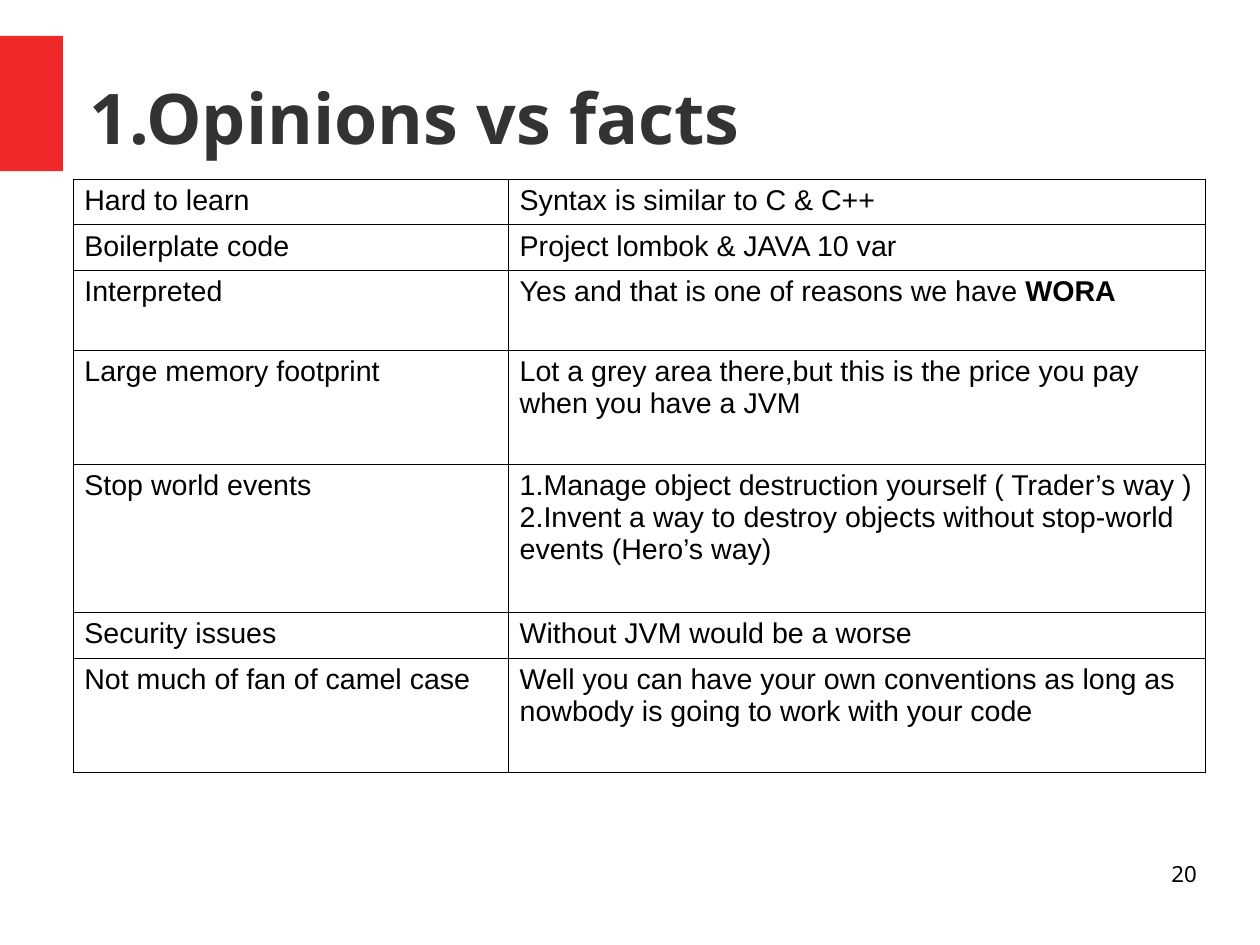
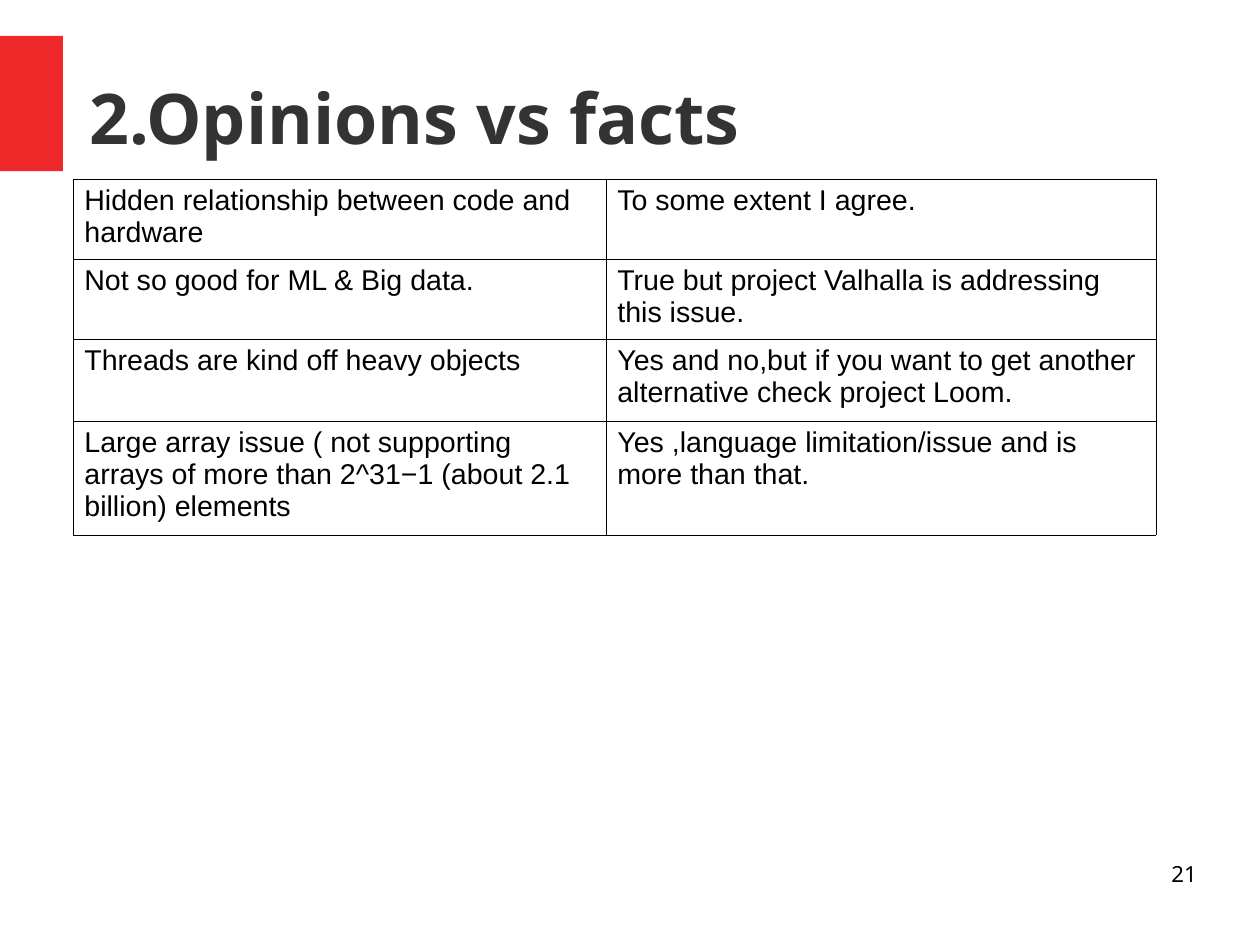
from lxml import etree
from pptx import Presentation
from pptx import util as u
from pptx.dml.color import RGBColor
from pptx.enum import shapes, text
from pptx.oxml.ns import qn

WIDTH, HEIGHT = u.Cm(28), u.Cm(21)
RED, DARK, BLACK = "EF2929", "333333", "000000"
HEADING_FONT, TABLE_FONT = "Noto Sans", "Arial"
BAND = (0, 3.8, 5, 14.3)
TITLE = (7.14, 4, 87.8, 16.7)
NUMBER = (71.7, 91, 23.3, 6.9)
TABLE_LEFT, TABLE_TOP = 5.79, 18.9
LINE_HEIGHT, ROW_PADDING = 3.62, 1.21
BORDER = u.Pt(0.06)


def color(value):
    return RGBColor.from_string(value)


def across(percent):
    return round(WIDTH * percent / 100)


def down(percent):
    return round(HEIGHT * percent / 100)


class Deck:
    """Holds the shared style and the current slide; lengths are percentages of the slide."""

    def __init__(self):
        self.presentation = Presentation()
        self.presentation.slide_width = WIDTH
        self.presentation.slide_height = HEIGHT
        self.slide = None

    def place(self, area):
        left, top, width, height = area
        return across(left), down(top), across(width), down(height)

    def add_slide(self, title, number):
        layout = self.presentation.slide_layouts[6]
        self.slide = self.presentation.slides.add_slide(layout)
        self.band()
        self.label(title, TITLE, 44, DARK, bold=True, anchor=text.MSO_ANCHOR.MIDDLE)
        self.label(str(number), NUMBER, 14, BLACK, align=text.PP_ALIGN.RIGHT)

    def band(self):
        shape = self.slide.shapes.add_shape(shapes.MSO_SHAPE.RECTANGLE, *self.place(BAND))
        shape.shadow.inherit = False
        shape.fill.solid()
        shape.fill.fore_color.rgb = color(RED)
        shape.line.fill.background()

    def style(self, run, font, size, ink, bold=False):
        run.font.name = font
        run.font.size = u.Pt(size)
        run.font.color.rgb = color(ink)
        run.font.bold = bold

    def label(self, words, area, size, ink, bold=False,
              anchor=text.MSO_ANCHOR.TOP, align=text.PP_ALIGN.LEFT):
        frame = self.slide.shapes.add_textbox(*self.place(area)).text_frame
        frame.word_wrap = True
        frame.margin_left = frame.margin_right = 0
        frame.margin_top = frame.margin_bottom = 0
        frame.vertical_anchor = anchor
        frame.text = words
        paragraph = frame.paragraphs[0]
        paragraph.alignment = align
        self.style(paragraph.runs[0], HEADING_FONT, size, ink, bold)

    def table(self, widths, rows):
        heights = [ROW_PADDING + LINE_HEIGHT * lines for lines, *_ in rows]
        area = (TABLE_LEFT, TABLE_TOP, sum(widths), sum(heights))
        table = self.slide.shapes.add_table(len(rows), len(widths), *self.place(area)).table
        table.first_row = table.horz_banding = False
        for column, width in zip(table.columns, widths):
            column.width = across(width)
        for row, height, (_, *entries) in zip(table.rows, heights, rows):
            row.height = down(height)
            for cell, entry in zip(row.cells, entries):
                self.cell(cell, entry)
        return table

    def cell(self, cell, entry):
        paragraphs = [entry] if isinstance(entry, str) else entry
        cell.text_frame.text = "\n".join(paragraphs)
        for paragraph in cell.text_frame.paragraphs:
            for run in paragraph.runs:
                self.style(run, TABLE_FONT, 18, BLACK)
        self.borders(cell)
        cell.fill.background()

    def borders(self, cell):
        properties = cell._tc.get_or_add_tcPr()
        for side in ("a:lnL", "a:lnR", "a:lnT", "a:lnB"):
            line = etree.SubElement(properties, qn(side), w=str(BORDER))
            fill = etree.SubElement(line, qn("a:solidFill"))
            etree.SubElement(fill, qn("a:srgbClr"), val=BLACK)

    def append_bold(self, cell, words):
        run = cell.text_frame.paragraphs[0].add_run()
        run.text = words
        self.style(run, TABLE_FONT, 18, BLACK, bold=True)


FIRST_ROWS = [
    (1, "Hard to learn", "Syntax is similar to C & C++"),
    (1, "Boilerplate code", "Project lombok & JAVA 10 var"),
    (2, "Interpreted", "Yes and that is one of reasons we have "),
    (3, "Large memory footprint",
     "Lot a grey area there,but this is the price you pay when you have a JVM"),
    (4, "Stop world events",
     ["1.Manage object destruction yourself ( Trader’s way )",
      "2.Invent a way to destroy objects without stop-world events (Hero’s way)"]),
    (1, "Security issues", "Without JVM would be a worse"),
    (3, "Not much of fan of camel case",
     "Well you can have your own conventions as long as nowbody is going to work with your code"),
]
SECOND_ROWS = [
    (2, "Hidden relationship between code and hardware", "To some extent I agree."),
    (2, "Not so good for ML & Big data.",
     "True but project Valhalla is addressing this issue."),
    (2.07, "Threads are kind off heavy objects",
     "Yes and no,but if you want to get another alternative check project Loom."),
    (3, "Large array issue ( not supporting arrays of more than 2^31−1 (about 2.1 billion) elements",
     "Yes ,language limitation/issue and is more than that."),
]


def main():
    deck = Deck()
    deck.add_slide("1.Opinions vs facts", 20)
    table = deck.table((34.55, 55.33), FIRST_ROWS)
    deck.append_bold(table.cell(2, 1), "WORA")
    deck.add_slide("2.Opinions vs facts", 21)
    deck.table((42.3, 43.65), SECOND_ROWS)
    deck.presentation.save("out.pptx")


if __name__ == "__main__":
    main()
